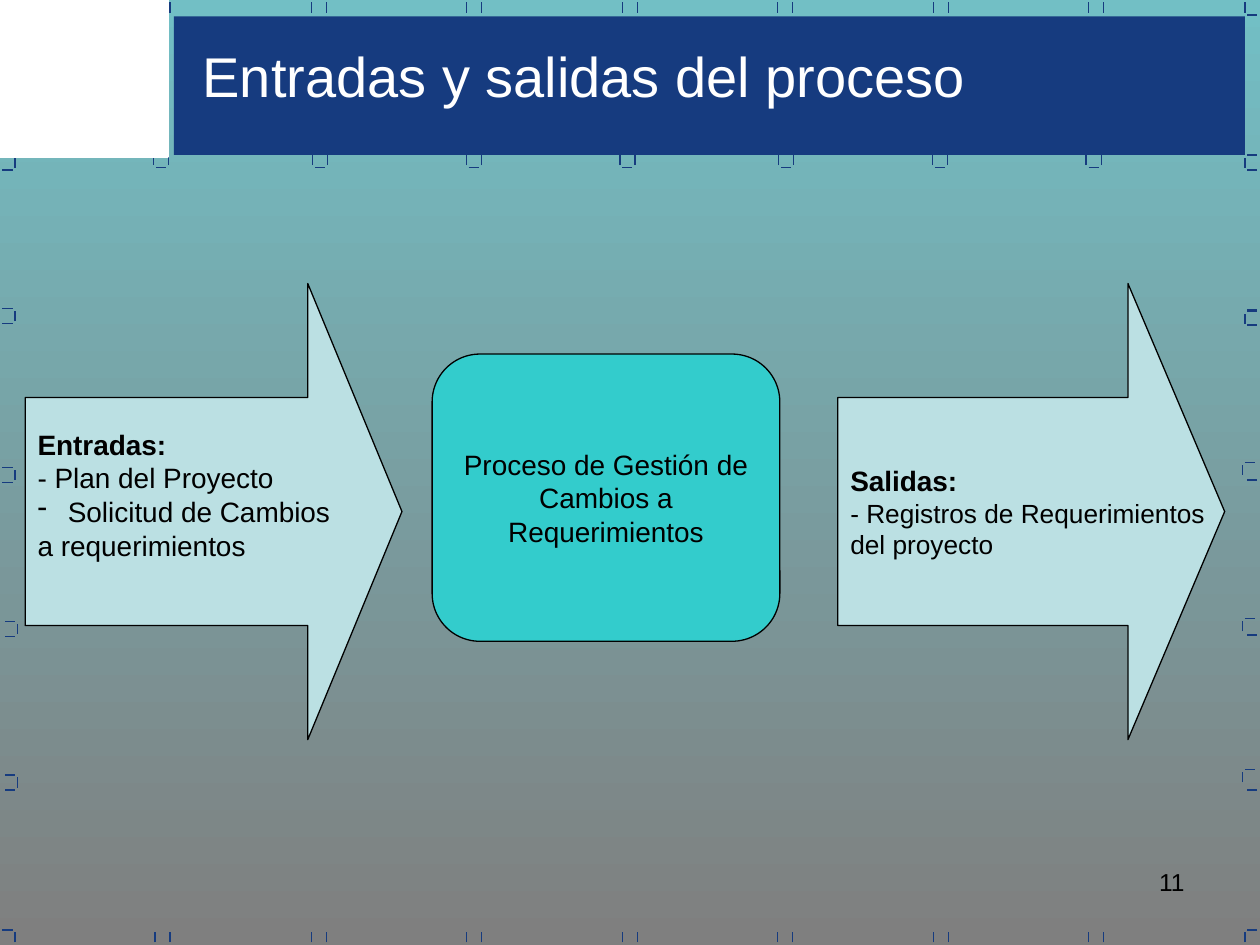
from lxml import etree
from pptx import Presentation
from pptx.dml.color import RGBColor
from pptx.enum.shapes import MSO_CONNECTOR, MSO_SHAPE
from pptx.enum.text import MSO_ANCHOR, PP_ALIGN
from pptx.oxml.ns import qn
from pptx.util import Pt

LEFT, CENTER, RIGHT = PP_ALIGN.LEFT, PP_ALIGN.CENTER, PP_ALIGN.RIGHT
TOP, MIDDLE = MSO_ANCHOR.TOP, MSO_ANCHOR.MIDDLE
RECTANGLE, ROUNDED = MSO_SHAPE.RECTANGLE, MSO_SHAPE.ROUNDED_RECTANGLE
ARROW, STRAIGHT = MSO_SHAPE.RIGHT_ARROW, MSO_CONNECTOR.STRAIGHT

PX = 9144  # EMU per px, 100 px to the inch

THEME = {
    "navy": RGBColor.from_string("163B7F"),
    "white": RGBColor.from_string("FFFFFF"),
    "black": RGBColor.from_string("000000"),
    "arrow": RGBColor.from_string("BBE0E3"),
    "process": RGBColor.from_string("33CCCC"),
    "bottom": RGBColor.from_string("7F7F7F"),
    "top": RGBColor.from_string("72BFC5"),
    "title": {"name": "Arial", "size": Pt(32)},
    "heading": {"name": "Arial", "size": Pt(16), "bold": True},
    "body": {"name": "Arial", "size": Pt(16), "bold": False},
    "detail": {"name": "Arial", "size": Pt(15), "bold": False},
    "number": {"name": "Arial", "size": Pt(14)},
}

presentation = Presentation()
presentation.slide_width, presentation.slide_height = 1000 * PX, 750 * PX
slide = presentation.slides.add_slide(presentation.slide_layouts[6])


def add_box(kind, box, fill, line=None, line_width=0.75):
    shape = slide.shapes.add_shape(kind, *(value * PX for value in box))
    shape.shadow.inherit = False
    shape.fill.solid()
    shape.fill.fore_color.rgb = THEME[fill]
    if line:
        shape.line.color.rgb = THEME[line]
        shape.line.width = Pt(line_width)
    else:
        shape.line.fill.background()
    return shape


def write_text(shape, paragraphs, color="black", align=LEFT, anchor=MIDDLE, wrap=True, bottom=5):
    """Each paragraph is a list of (text, style) lines; a leading dash bullet is marked by "bullet"."""
    frame = shape.text_frame
    settings = {
        "word_wrap": wrap, "vertical_anchor": anchor, "margin_left": 10 * PX,
        "margin_right": 10 * PX, "margin_top": 5 * PX, "margin_bottom": bottom * PX,
    }
    for name, value in settings.items():
        setattr(frame, name, value)
    for index, lines in enumerate(paragraphs):
        paragraph = frame.add_paragraph() if index else frame.paragraphs[0]
        paragraph.alignment = align
        if lines[0] == "bullet":
            lines = lines[1:]
            properties = paragraph._p.get_or_add_pPr()
            properties.set("marL", str(24 * PX))
            properties.set("indent", str(-24 * PX))
            etree.SubElement(properties, qn("a:buChar")).set("char", "-")
        for number, (text, style) in enumerate(lines):
            if number:
                paragraph.add_line_break()
            run = paragraph.add_run()
            run.text = text
            run.font.color.rgb = THEME[color]
            for name, value in THEME[style].items():
                setattr(run.font, name, value)


# Background
background = slide.background.fill
background.gradient()
background.gradient_angle = 90
for stop, name in zip(background.gradient_stops, ("bottom", "top")):
    stop.color.rgb = THEME[name]

# Stitch marks around the border, as (x1, y1, x2, y2)
marks = []
for column in range(1, 8):  # pairs on the top and bottom edges
    x = round(123.45 * column)
    if column > 1:
        marks.append((x, 10, x, 2))
    marks += [(x + 12, 10, x + 12, 2), (x, 748, x, 740), (x + 12, 748, x + 12, 740)]
for x in (122, 248, 370, 492, 618, 740, 862):  # cups under the title band
    marks += [(x, 131, x, 123), (x + 12, 131, x + 12, 123), (x + 2, 133, x + 10, 133)]
for x, y in ((2, 123), (2, 245), (2, 371), (4, 493), (4, 615)):  # left brackets
    marks += [(x, y, x + 8, y), (x, y + 12, x + 8, y + 12), (x + 10, y + 10, x + 10, y + 2)]
for x, y in ((988, 123), (988, 247), (986, 367), (986, 491), (986, 611), (988, 738)):  # right hooks
    marks += [(x, y + 10, x, y + 2), (x + 2, y, x + 10, y)]
for y in (12, 135, 246, 258, 381, 504, 627):  # right dashes
    marks.append((990, y, 998, y))
marks += [(988, 10, 988, 2), (12, 748, 12, 740), (2, 738, 10, 738)]  # corners

for mark in marks:
    connector = slide.shapes.add_connector(STRAIGHT, *(value * PX for value in mark))
    connector.line.color.rgb = THEME["navy"]
    connector.line.width = Pt(0.75)
    etree.SubElement(connector._element.spPr, qn("a:effectLst"))

# Title band and white corner
add_box(RECTANGLE, (138, 13, 850, 110), "navy")
add_box(RECTANGLE, (0, -1, 133, 125), "white", "white", 2)

# Title and slide number
for box, text, style, color, align in (
    ((151, 28, 680, 64), "Entradas y salidas del proceso", "title", "white", LEFT),
    ((717, 683, 233, 52), "11", "number", "black", RIGHT),
):
    text_box = slide.shapes.add_textbox(*(value * PX for value in box))
    write_text(text_box, [[(text, style)]], color, align, TOP)

# Inputs, process and outputs
inputs = add_box(ARROW, (20, 225, 299, 362), "arrow", "black")
process = add_box(ROUNDED, (343, 281, 276, 228), "process", "black")
outputs = add_box(ARROW, (665, 225, 307, 362), "arrow", "black")
for arrow in (inputs, outputs):
    arrow.adjustments[1] = 0.25

write_text(inputs, [
    [("Entradas:", "heading"), ("- Plan del Proyecto", "body")],
    ["bullet", ("Solicitud de Cambios", "body")],
    [("a requerimientos", "body")],
], wrap=False, bottom=32)
write_text(process, [[("Proceso de Gestión de Cambios a Requerimientos", "body")]], align=CENTER)
write_text(outputs, [
    [("Salidas:", "heading"), ("- Registros de Requerimientos", "detail")],
    [("del proyecto", "detail")],
], wrap=False)

presentation.save("out.pptx")
